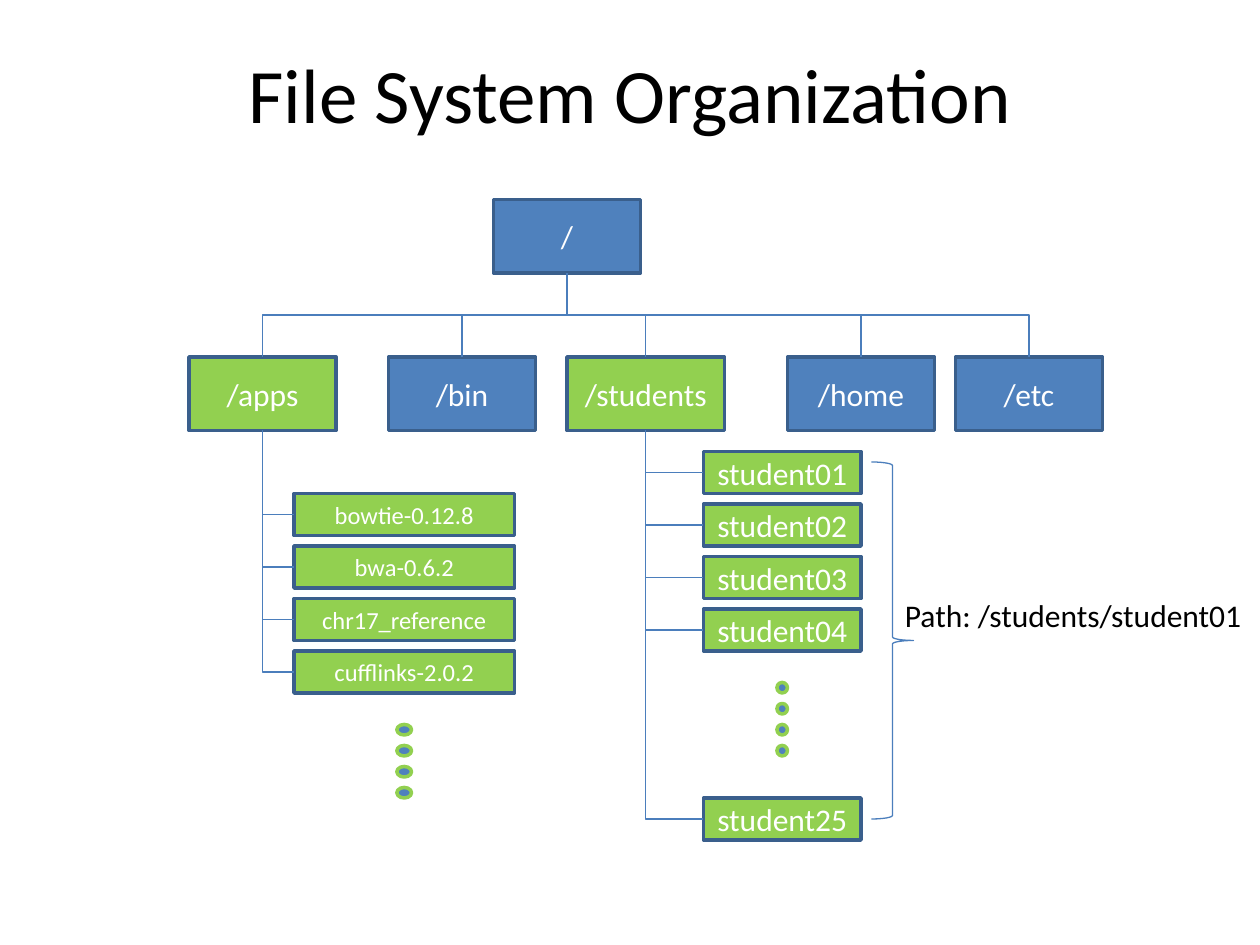
"""Build a slide that shows a file system as a tree of folders."""
from dataclasses import dataclass

import pptx
import pptx.dml.color
import pptx.enum.shapes
import pptx.enum.text
import pptx.oxml
import pptx.oxml.ns
import pptx.shapes.autoshape
import pptx.shapes.shapetree
import pptx.slide
import pptx.util

Pt = pptx.util.Pt
RGBColor = pptx.dml.color.RGBColor
Shape = pptx.enum.shapes.MSO_SHAPE
Align = pptx.enum.text.PP_ALIGN
Anchor = pptx.enum.text.MSO_ANCHOR

BLUE = RGBColor(0x4F, 0x81, 0xBD)
GREEN = RGBColor(0x92, 0xD0, 0x50)
BORDER = RGBColor(0x3A, 0x5F, 0x8C)
LINK = RGBColor(0x4B, 0x7E, 0xBC)
WHITE = RGBColor(0xFF, 0xFF, 0xFF)
BLACK = RGBColor(0, 0, 0)
FONT = "Calibri"
ROW_STEP = 30
DOT_STEP = 12


@dataclass(frozen=True)
class Folder:
    label: str
    left: float
    top: float
    width: float = 84
    height: float = 42
    color: RGBColor = BLUE
    size: float = 18

    @property
    def center(self) -> float:
        return self.left + self.width / 2

    @property
    def middle(self) -> float:
        return self.top + self.height / 2

    @property
    def bottom(self) -> float:
        return self.top + self.height


@dataclass(frozen=True)
class Listing:
    parent: Folder
    children: list[Folder]
    dots_top: float
    dot_width: float


def column(labels: list[str], left: float, top: float, width: float, size: float) -> list[Folder]:
    return [Folder(label, left, top + row * ROW_STEP, width, 24, GREEN, size)
            for row, label in enumerate(labels)]


def style_text(frame: pptx.text.text.TextFrame, text: str, size: float, color: RGBColor,
               align: Align = Align.CENTER) -> None:
    frame.text = text
    paragraph = frame.paragraphs[0]
    paragraph.alignment = align
    paragraph.font.name = FONT
    paragraph.font.size = Pt(size)
    paragraph.font.color.rgb = color


def draw_shape(shapes: pptx.shapes.shapetree.SlideShapes, kind: Shape, left: float, top: float,
               width: float, height: float, fill: RGBColor | None, line: RGBColor,
               weight: float = 2) -> pptx.shapes.autoshape.Shape:
    shape = shapes.add_shape(kind, Pt(left), Pt(top), Pt(width), Pt(height))
    shape.shadow.inherit = False
    if fill is None:
        shape.fill.background()
    else:
        shape.fill.solid()
        shape.fill.fore_color.rgb = fill
    shape.line.color.rgb = line
    shape.line.width = Pt(weight)
    return shape


def draw_folder(shapes: pptx.shapes.shapetree.SlideShapes, folder: Folder) -> None:
    box = draw_shape(shapes, Shape.RECTANGLE, folder.left, folder.top, folder.width,
                     folder.height, folder.color, BORDER)
    box.text_frame.vertical_anchor = Anchor.MIDDLE
    style_text(box.text_frame, folder.label, folder.size, WHITE)


def draw_link(page: pptx.slide.Slide, parent: Folder, end_x: float, end_y: float,
              preset: str) -> None:
    """Draw an elbow that leaves the parent downwards, as a quarter-turned connector."""
    across, down = end_x - parent.center, end_y - parent.bottom
    center_x, center_y = parent.center + across / 2, parent.bottom + down / 2
    side = 1 if across > 0 else -1
    half_width, half_height = side * down / 2, abs(across) / 2
    link = page.shapes.add_connector(
        pptx.enum.shapes.MSO_CONNECTOR.ELBOW,
        Pt(center_x + half_width), Pt(center_y - half_height),
        Pt(center_x - half_width), Pt(center_y + half_height))
    link.line.color.rgb = LINK
    link.line.width = Pt(0.75)
    properties = link._element.spPr
    properties.find(pptx.oxml.ns.qn("a:xfrm")).set("rot", str((270 if side > 0 else 90) * 60000))
    properties.find(pptx.oxml.ns.qn("a:prstGeom")).set("prst", preset)
    properties.append(pptx.oxml.parse_xml(f"<a:effectLst {pptx.oxml.ns.nsdecls('a')}/>"))


def draw_listing(page: pptx.slide.Slide, listing: Listing) -> None:
    group = page.shapes.add_group_shape()
    for child in listing.children:
        draw_folder(group.shapes, child)
        draw_link(page, listing.parent, child.left, child.middle, "bentConnector2")
    dot_left = listing.children[0].center - listing.dot_width / 2
    for row in range(4):
        draw_shape(group.shapes, Shape.OVAL, dot_left, listing.dots_top + row * DOT_STEP,
                   listing.dot_width, 6, BLUE, GREEN)


def main() -> None:
    deck = pptx.Presentation()
    deck.slide_width, deck.slide_height = Pt(720), Pt(540)
    page = deck.slides.add_slide(deck.slide_layouts[5])

    title = page.shapes.title
    title.left, title.top, title.width, title.height = Pt(36), Pt(21.6), Pt(648), Pt(62.6)
    title.text_frame.vertical_anchor = Anchor.MIDDLE
    style_text(title.text_frame, "File System Organization", 44, BLACK)

    root = Folder("/", 282, 114)
    apps = Folder("/apps", 108, 204, color=GREEN)
    students = Folder("/students", 324, 204, width=90, color=GREEN)
    branches = [apps, Folder("/bin", 222, 204), students,
                Folder("/home", 450, 204), Folder("/etc", 546, 204)]
    draw_folder(page.shapes, root)
    for branch in branches:
        draw_folder(page.shapes, branch)
        draw_link(page, root, branch.center, branch.top, "bentConnector3")

    accounts = column([f"student{number:02}" for number in range(1, 5)], 402, 258, 90, 18)
    accounts += column(["student25"], 402, 456, 90, 18)
    tools = column(["bowtie-0.12.8", "bwa-0.6.2", "chr17_reference", "cufflinks-2.0.2"],
                   168, 282, 126, 14)
    draw_listing(page, Listing(students, accounts, 390, 6))
    draw_listing(page, Listing(apps, tools, 414, 8.4))

    draw_shape(page.shapes, Shape.RIGHT_BRACE, 498, 264, 24, 204, None, LINK, 0.75)
    note = page.shapes.add_textbox(Pt(510), Pt(337), Pt(209), Pt(29))
    note.text_frame.word_wrap = False
    note.text_frame.auto_size = pptx.enum.text.MSO_AUTO_SIZE.SHAPE_TO_FIT_TEXT
    style_text(note.text_frame, "Path: /students/student01", 18, BLACK, Align.LEFT)

    deck.save("out.pptx")


if __name__ == "__main__":
    main()
